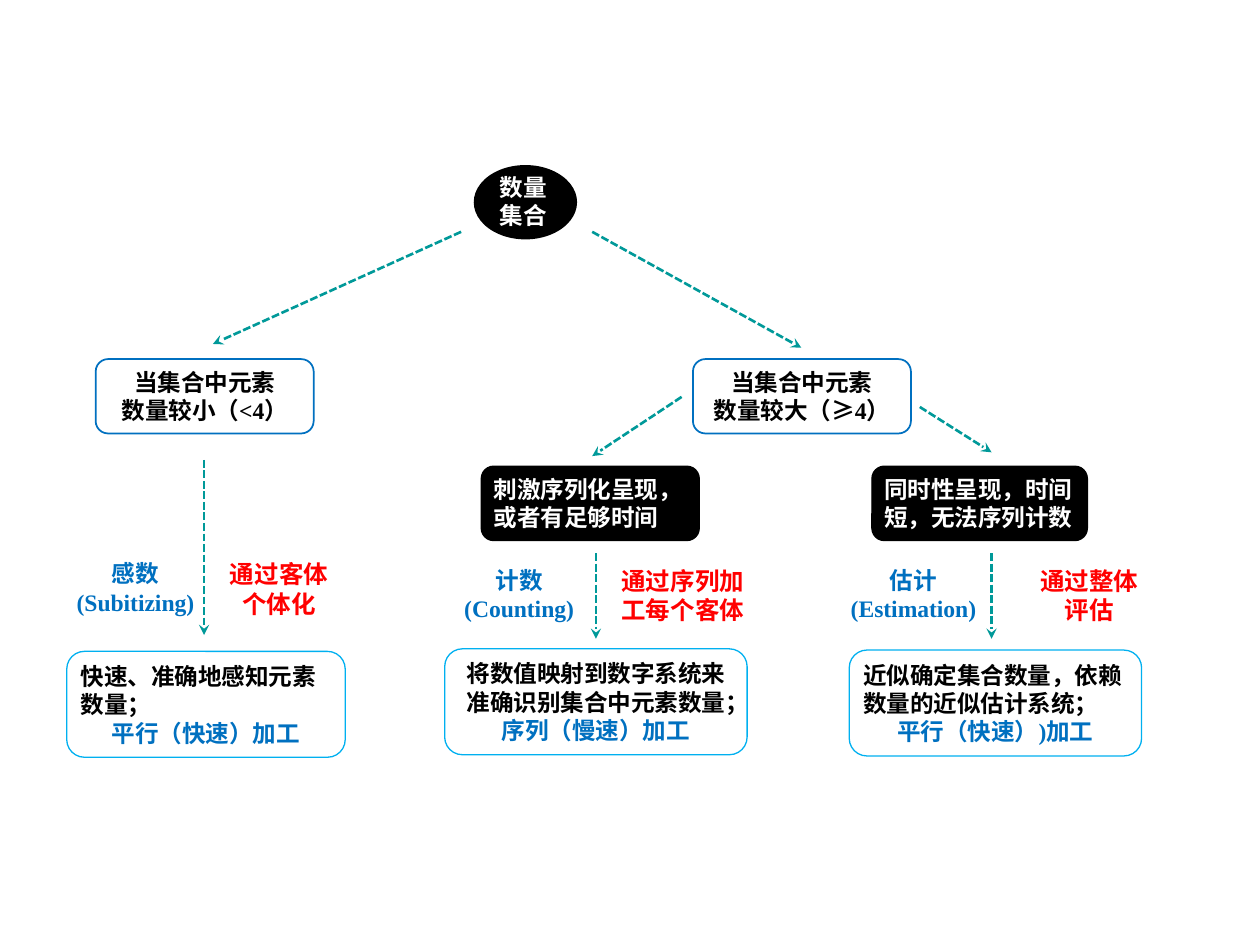
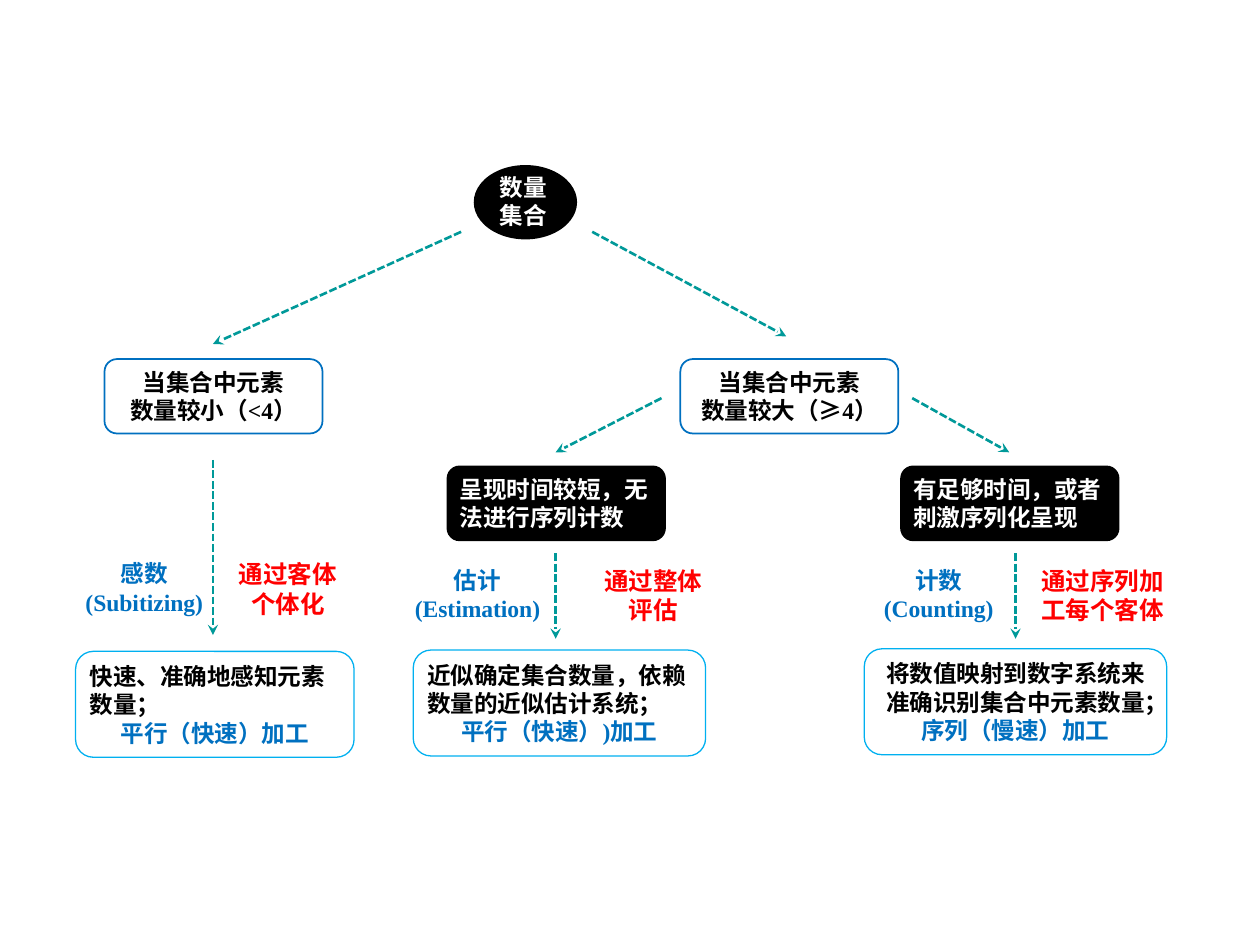
from dataclasses import dataclass

from pptx import Presentation
from pptx.dml.color import RGBColor
from pptx.enum.dml import MSO_LINE_DASH_STYLE as Dash
from pptx.enum.shapes import MSO_CONNECTOR as Connector
from pptx.enum.shapes import MSO_SHAPE as Shape
from pptx.enum.text import MSO_AUTO_SIZE as AutoSize
from pptx.enum.text import PP_ALIGN as Align
from pptx.oxml.ns import qn
from pptx.util import Inches, Pt
from lxml.etree import SubElement

BLACK = RGBColor(0x00, 0x00, 0x00)
WHITE = RGBColor(0xFF, 0xFF, 0xFF)
BLUE = RGBColor(0x00, 0x70, 0xC0)
SKY = RGBColor(0x00, 0xB0, 0xF0)
TEAL = RGBColor(0x00, 0x99, 0x99)
RED = RGBColor(0xFF, 0x00, 0x00)

SERIF = "Times New Roman"
COLUMNS, ROWS = 100, 75


@dataclass
class Span:
    text: str
    color: RGBColor
    font: str = SERIF
    size: float = 13.5


@dataclass
class Route:
    term: list
    term_offset: float
    term_width: float
    means: str
    means_offset: float
    means_width: float
    result: list
    result_offset: float
    result_width: float
    result_top: float
    row: float = 44.4


class Diagram:
    def __init__(self, deck):
        self.deck = deck
        self.column = deck.slide_width / COLUMNS
        self.row = deck.slide_height / ROWS
        self.page = None

    def new_page(self):
        self.page = self.deck.slides.add_slide(self.deck.slide_layouts[6])

    def place(self, left, top, width, height):
        return (round(left * self.column), round(top * self.row),
                round(width * self.column), round(height * self.row))

    def set_text(self, box, paragraphs):
        frame = box.text_frame
        frame.word_wrap = True
        frame.auto_size = AutoSize.SHAPE_TO_FIT_TEXT
        for index, (align, spans) in enumerate(paragraphs):
            para = frame.add_paragraph() if index else frame.paragraphs[0]
            para.alignment = align
            for span in spans:
                run = para.add_run()
                run.text = span.text
                run.font.name = span.font
                run.font.size = Pt(span.size)
                run.font.bold = True
                run.font.color.rgb = span.color

    def text(self, left, top, width, height, paragraphs):
        box = self.page.shapes.add_textbox(*self.place(left, top, width, height))
        self.set_text(box, paragraphs)

    def shape(self, kind, left, top, width, height, fill):
        box = self.page.shapes.add_shape(kind, *self.place(left, top, width, height))
        box.shadow.inherit = False
        box.fill.solid()
        box.fill.fore_color.rgb = fill
        box.line.fill.background()
        return box

    def card(self, left, top, width, height, paragraphs, fill, line, weight=0.75):
        box = self.shape(Shape.ROUNDED_RECTANGLE, left, top, width, height, fill)
        box.line.color.rgb = line
        box.line.width = Pt(weight)
        frame = box.text_frame
        frame.margin_left = frame.margin_right = Inches(0.07)
        frame.margin_top = frame.margin_bottom = Inches(0.04)
        self.set_text(box, paragraphs)

    def arrow(self, start, end):
        connector = self.page.shapes.add_connector(
            Connector.STRAIGHT, *self.place(*start, *end))
        connector.line.color.rgb = TEAL
        connector.line.width = Pt(1.5)
        connector.line.dash_style = Dash.SQUARE_DOT
        properties = connector.element.spPr
        SubElement(properties.find(qn("a:ln")), qn("a:tailEnd"), type="stealth")
        SubElement(properties, qn("a:effectLst"))

    def root(self):
        self.shape(Shape.OVAL, 37.6, 13.1, 8.2, 5.9, BLACK)
        self.text(38.7, 13.2, 6.4, 5.6, [
            (Align.LEFT, [Span(word, WHITE, "Arial")]) for word in ("数量", "集合")])

    def size_case(self, left, case):
        lines = [(Align.CENTER, [Span(words, BLACK)]) for words in ("当集合中元素", case)]
        self.card(left, 28.5, 17.3, 5.9, lines, WHITE, BLUE, 1)

    def condition(self, left, width, words):
        self.card(left, 37, width, 5.9, [(Align.LEFT, [Span(words, WHITE)])], BLACK, BLACK)

    def route(self, axis, route, arrow_top, arrow_end):
        self.arrow((axis, arrow_top), (axis, arrow_end))
        self.text(axis + route.term_offset, route.row, route.term_width, 5.6, route.term)
        self.text(axis + route.means_offset, route.row, route.means_width, 5.7,
                  [(Align.CENTER, [Span(route.means, RED, size=14)])])
        self.card(axis + route.result_offset, route.result_top, route.result_width, 8.4,
                  route.result, WHITE, SKY)


def term(chinese, english):
    return [Span(chinese, BLUE, "Calibri"), Span(english, BLUE)]


def finding(words, processing):
    return [(Align.LEFT, [Span(words, BLACK)]), (Align.CENTER, [Span(processing, BLUE)])]


SUBITIZING = Route(
    [(Align.CENTER, [span]) for span in term("感数", "(Subitizing)")], -13.7, 16.5,
    "通过客体个体化", 0.5, 10.9,
    finding("快速、准确地感知元素数量；", "平行（快速）加工"), -10.9, 22.1, 51.7, 43.9)
COUNTING = Route(
    [(Align.CENTER, term("计数", "(Counting)"))], -12.1, 12,
    "通过序列加工每个客体", 0.1, 13.6,
    [(Align.CENTER, [Span("将数值映射到数字系统来准确识别集合中元素数量；", BLACK),
                     Span("序列（慢速）加工", BLUE)])], -12, 24, 51.5)
ESTIMATION = Route(
    [(Align.CENTER, term("估计", "(Estimation)"))], -12.4, 12.4,
    "通过整体评估", 2.3, 10.9,
    finding("近似确定集合数量，依赖数量的近似估计系统；", "平行（快速）)加工"),
    -11.3, 23.2, 51.6)

PAGES = [
    {
        "small_axis": 16.2,
        "large_left": 55,
        "splits": [((47, 18.4), (63.6, 27.6)), ((54.1, 31.5), (47, 36.2)),
                   ((73, 32.3), (78.7, 35.9))],
        "large_routes": [
            (47.3, COUNTING, 38.2, 17.3, "刺激序列化呈现，或者有足够时间"),
            (78.7, ESTIMATION, 69.2, 17.1, "同时性呈现，时间短，无法序列计数")],
    },
    {
        "small_axis": 16.9,
        "large_left": 54,
        "splits": [((47, 18.4), (62.4, 26.7)), ((52.5, 31.6), (44.1, 35.9)),
                   ((72.4, 31.6), (80.1, 35.9))],
        "large_routes": [
            (44.1, ESTIMATION, 35.5, 17.3, "呈现时间较短，无法进行序列计数"),
            (80.6, COUNTING, 71.5, 17.3, "有足够时间，或者刺激序列化呈现")],
    },
]


def main():
    deck = Presentation()
    deck.slide_width, deck.slide_height = Inches(10), Inches(7.5)
    diagram = Diagram(deck)
    for layout in PAGES:
        diagram.new_page()
        diagram.root()
        diagram.arrow((36.6, 18.4), (16.9, 27.3))
        for start, end in layout["splits"]:
            diagram.arrow(start, end)
        diagram.size_case(layout["small_axis"] - 8.6, "数量较小（<4）")
        diagram.size_case(layout["large_left"], "数量较大（≥4）")
        diagram.route(layout["small_axis"], SUBITIZING, 36.5, 50.4)
        for axis, route, left, width, words in layout["large_routes"]:
            diagram.condition(left, width, words)
            diagram.route(axis, route, 43.9, 50.7)
    deck.save("out.pptx")


if __name__ == "__main__":
    main()
